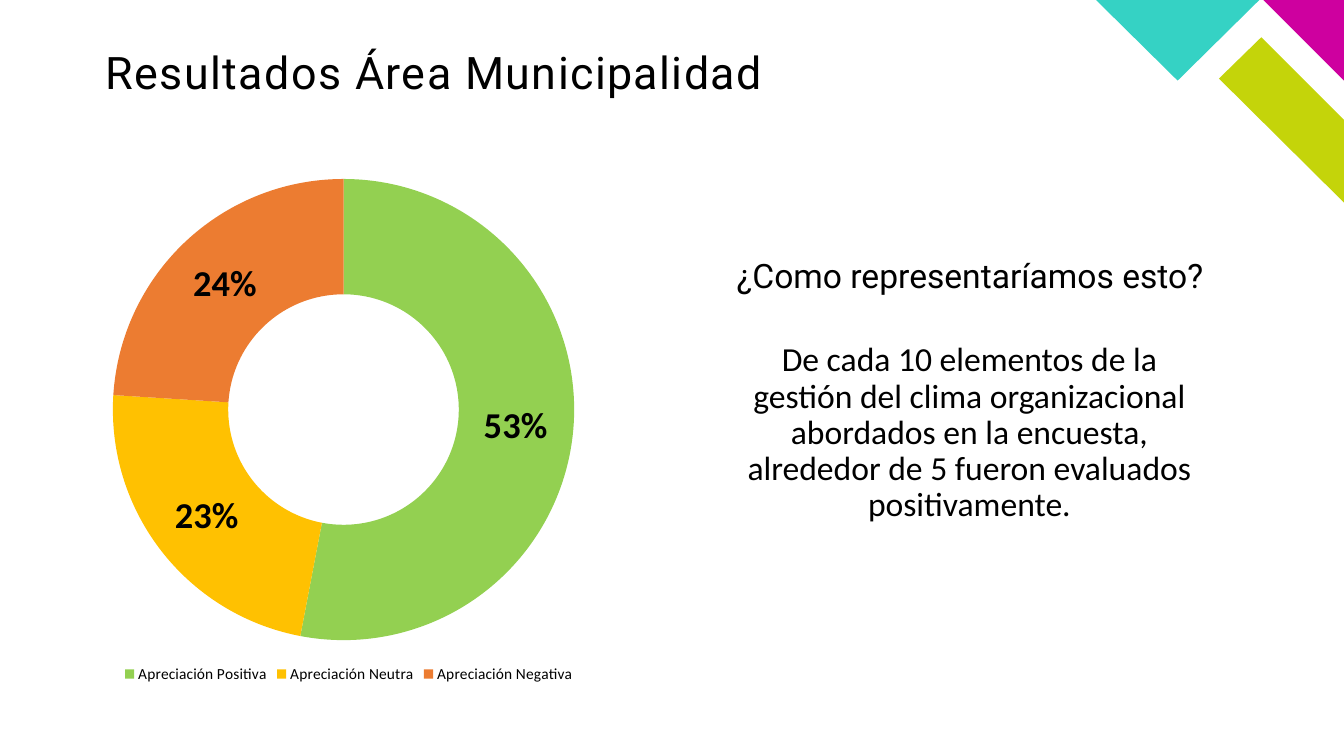
from lxml import etree
from pptx import Presentation
from pptx.chart.data import CategoryChartData
from pptx.dml.color import RGBColor
from pptx.enum.chart import XL_CHART_TYPE, XL_LEGEND_POSITION
from pptx.enum.text import MSO_ANCHOR, PP_ALIGN
from pptx.oxml import parse_xml
from pptx.oxml.ns import nsdecls
from pptx.util import Inches, Pt

W, H = 13.33, 7.5
BLACK = "000000"
RATINGS = [
    ("Apreciación Positiva", 0.53, "93D051"),
    ("Apreciación Neutra", 0.23, "FFC101"),
    ("Apreciación Negativa", 0.24, "EC7C31"),
]


def rgb(value):
    return RGBColor.from_string(value)


def style_font(font, size, color=BLACK, name="Calibri", bold=False):
    font.name, font.size, font.bold = name, Pt(size), bold
    font.color.rgb = rgb(color)


def add_text(slide, box, text, size=24, font="Calibri", align=PP_ALIGN.CENTER,
             anchor=MSO_ANCHOR.MIDDLE, margins=(0.1, 0.05), spacing=0):
    tf = slide.shapes.add_textbox(*map(Inches, box)).text_frame
    tf.word_wrap, tf.vertical_anchor = True, anchor
    tf.margin_left = tf.margin_right = Inches(margins[0])
    tf.margin_top = tf.margin_bottom = Inches(margins[1])
    p = tf.paragraphs[0]
    p.alignment, p.line_spacing = align, 0.9
    r = p.add_run()
    r.text = text
    style_font(r.font, size, name=font)
    if spacing:
        r.font._element.set("spc", str(spacing * 100))


# Corner decoration, points measured from the box's top left
def add_corner(slide, box):
    left, top, width, height = box
    pieces = [
        ("C4D40A", [(width, height), (width, 1.19), (1.64, 0.37), (1.22, 0.78)]),
        ("CE009F", [(width, 0.8), (width, 0), (1.66, 0)]),
        ("35D2C4", [(0, 0), (0.81, 0.8), (1.62, 0)]),
    ]
    for color, points in pieces:
        corners = [(Inches(left + x), Inches(top + y)) for x, y in points]
        builder = slide.shapes.build_freeform(*corners[0])
        builder.add_line_segments(corners[1:], close=True)
        sp = builder.convert_to_shape()
        sp.shadow.inherit = False
        sp.fill.solid()
        sp.fill.fore_color.rgb = rgb(color)
        sp.line.fill.background()


# Doughnut with its legend
def add_ratings_chart(slide, box):
    data = CategoryChartData(number_format="0%")
    data.categories = [name for name, _, _ in RATINGS]
    data.add_series("Series 1", [value for _, value, _ in RATINGS])
    chart = slide.shapes.add_chart(
        XL_CHART_TYPE.DOUGHNUT, *map(Inches, box), data).chart
    style_font(chart.font, 18)
    chart.has_title = False
    chart.has_legend = True
    chart.legend.position = XL_LEGEND_POSITION.BOTTOM
    chart.legend.include_in_layout = False
    style_font(chart.legend.font, 11)

    plot = chart.plots[0]
    plot.vary_by_categories = True
    for i, (_, _, color) in enumerate(RATINGS):
        fmt = plot.series[0].points[i].format
        fmt.fill.solid()
        fmt.fill.fore_color.rgb = rgb(color)
        fmt.line.fill.background()
    labels = plot.series[0].data_labels
    labels.show_value, labels.show_percentage = True, False
    labels.number_format, labels.number_format_is_linked = "0%", False
    style_font(labels.font, 26, bold=True)

    # Ring size and place as shares of the chart
    plot._element.find("{*}holeSize").set("val", "50")
    area = plot._element.getparent()
    for old in area.findall("{*}layout"):
        area.remove(old)
    layout = parse_xml(f"<c:layout {nsdecls('c')}><c:manualLayout/></c:layout>")
    settings = [("layoutTarget", "inner"), ("xMode", "edge"), ("yMode", "edge"),
                ("x", "0.05"), ("y", "0.03"), ("w", "0.88"), ("h", "0.88")]
    for tag, value in settings:
        etree.SubElement(layout[0], layout.tag.replace("layout", tag)).set("val", value)
    area.insert(0, layout)


# Question above its answer
def add_message(slide, box):
    left, top, width, height = box
    add_text(slide, (left, top, width, 0.87),
             "¿Como representaríamos esto?", font="Roboto")
    add_text(slide, (left + 0.06, top + 0.75, width - 0.13, height - 0.75),
             "De cada 10 elementos de la gestión del clima organizacional "
             "abordados en la encuesta, alrededor de 5 fueron evaluados "
             "positivamente.")


def main():
    prs = Presentation()
    prs.slide_width, prs.slide_height = Inches(W), Inches(H)
    slide = prs.slides.add_slide(prs.slide_layouts[6])
    add_corner(slide, (W - 2.46, 0, 2.46, 2.01))
    add_text(slide, (1.05, 0.5, 10, 0.67), "Resultados Área Municipalidad",
             size=32, font="Roboto", align=PP_ALIGN.LEFT, anchor=MSO_ANCHOR.TOP,
             margins=(0, 0), spacing=1)
    add_message(slide, (7.12, 2.32, 5, 3.21))
    add_ratings_chart(slide, (0.86, 1.62, 5.2, 5.2))
    prs.save("out.pptx")


if __name__ == "__main__":
    main()
